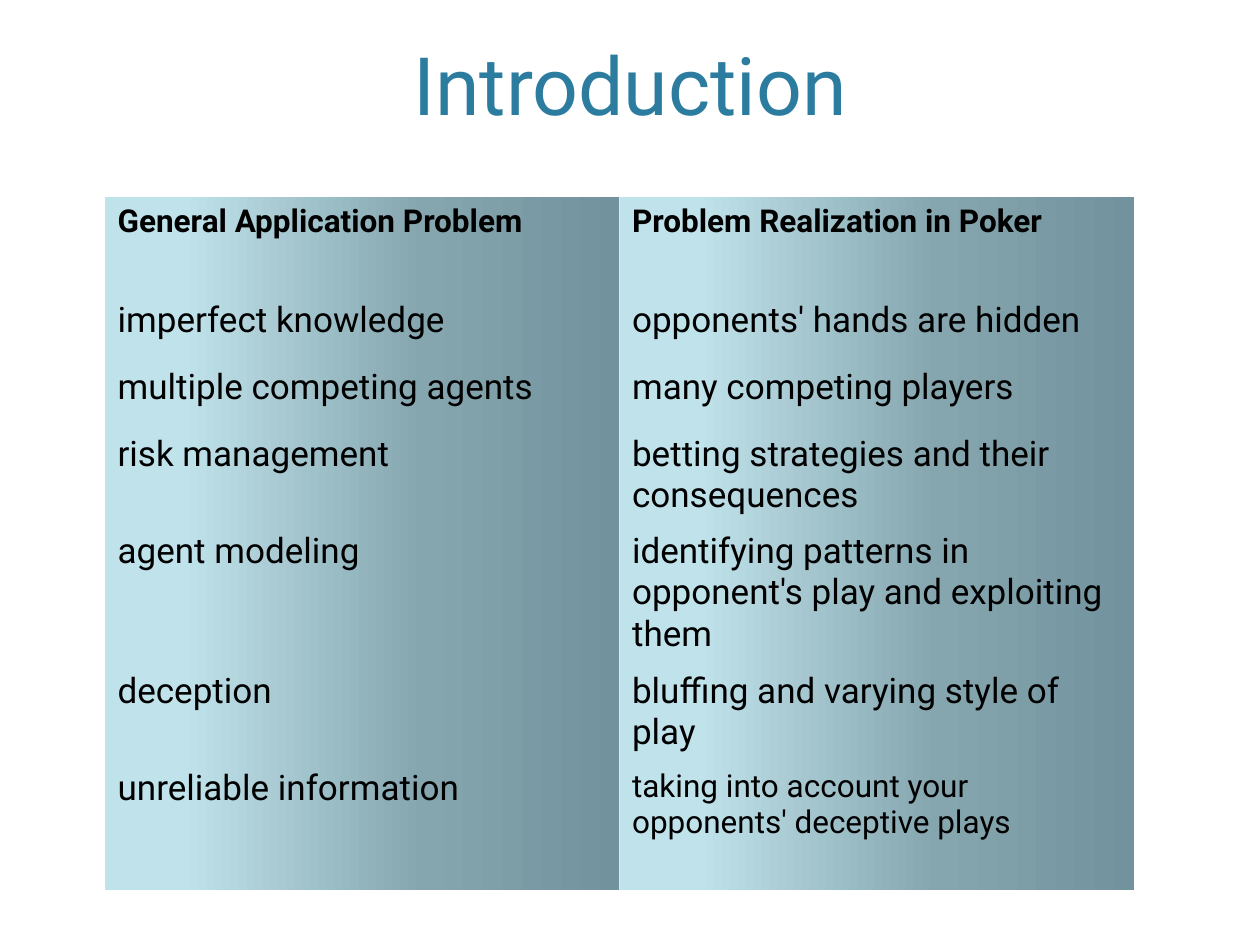
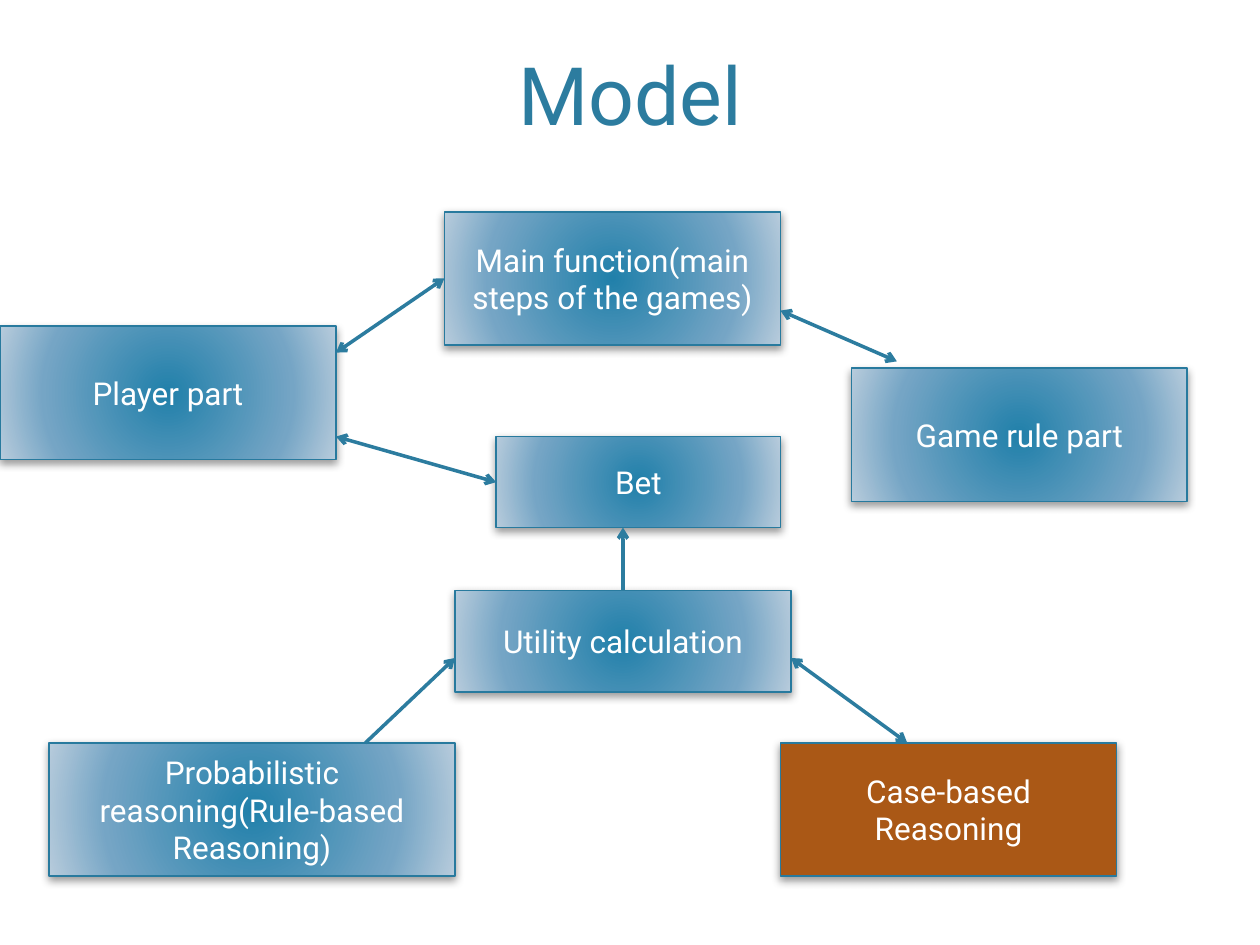
from dataclasses import dataclass

from lxml import etree
from pptx import Presentation
from pptx.enum import shapes, text
from pptx.dml.color import RGBColor
from pptx.oxml import ns
from pptx.util import Pt

FONT = "Roboto"
HUES = {
    "title": "2C7C9F",
    "edge": "287A9E",
    "ink": "000000",
    "white": "FFFFFF",
    "rust": "AA5816",
}
TEAL = ((15, "C0E2EB"), (62, "85A6AF"), (100, "72939D"))
BLUE = ((0, "2180AA"), (69, "75A5C5"), (100, "B8CCDC"))
LINEAR = '<a:lin ang="0" scaled="0"/>'
RADIAL = ('<a:path path="circle">'
          '<a:fillToRect l="100000" t="100000" r="100000" b="100000"/></a:path>')
SHADOW = ('<a:outerShdw blurRad="63500" dist="25400" dir="5400000" rotWithShape="0">'
          '<a:srgbClr val="000000"><a:alpha val="40000"/></a:srgbClr></a:outerShdw>')


@dataclass
class Box:
    """A labelled node of the model; sizes in points."""
    label: str
    left: float
    top: float
    width: float = 192
    height: float = 76.2
    solid: bool = False


@dataclass
class Link:
    """An arrow between two points, open-headed at its end."""
    start: tuple[float, float]
    end: tuple[float, float]
    both: bool = True


def hue(name: str) -> RGBColor:
    """Look up a named colour."""
    return RGBColor.from_string(HUES[name])


def node(tag: str, inner: str = "", attrs: str = ""):
    """Make one DrawingML element."""
    return etree.fromstring(
        f'<a:{tag} xmlns:a="{ns.nsuri("a")}" {attrs}>{inner}</a:{tag}>')


def blend(fill, props, stops, kind: str) -> None:
    """Give a shape or cell a gradient fill."""
    fill.background()
    marks = "".join(f'<a:gs pos="{pos * 1000}"><a:srgbClr val="{tone}"/></a:gs>'
                    for pos, tone in stops)
    grad = node("gradFill", f"<a:gsLst>{marks}</a:gsLst>{kind}", 'rotWithShape="1"')
    props.replace(props.find(ns.qn("a:noFill")), grad)


def write(frame, words: str, size: float, tone: str, bold: bool = False,
          align=text.PP_ALIGN.CENTER) -> None:
    """Put formatted text in a frame."""
    frame.text = words
    para = frame.paragraphs[0]
    para.alignment = align
    for run in para.runs:
        run.font.name = FONT
        run.font.size = Pt(size)
        run.font.bold = bold
        run.font.color.rgb = hue(tone)


def page(deck, words: str, top: float, height: float):
    """Add a blank slide with a title."""
    slide = deck.slides.add_slide(deck.slide_layouts[6])
    frame = slide.shapes.add_textbox(Pt(43.2), Pt(top), Pt(633.6), Pt(height)).text_frame
    frame.word_wrap = True
    frame.vertical_anchor = text.MSO_ANCHOR.BOTTOM
    write(frame, words, 46, "title")
    return slide


def draw_grid(slide, rows, tall) -> None:
    """Draw the table of problems, without borders."""
    grid = slide.shapes.add_table(len(rows), 2, Pt(60), Pt(112.5),
                                  Pt(588), Pt(sum(tall))).table
    grid.first_row = grid.horz_banding = False
    for row, high in zip(grid.rows, tall):
        row.height = Pt(high)
    for y, row in enumerate(rows):
        for x, words in enumerate(row):
            cell = grid.cell(y, x)
            head = y == 0
            small = head or (y == len(rows) - 1 and x == 1)
            write(cell.text_frame, words, 18 if small else 20, "ink", head,
                  text.PP_ALIGN.LEFT)
            props = cell._tc.get_or_add_tcPr()
            blend(cell.fill, props, TEAL, LINEAR)
            for i, side in enumerate("LRTB"):
                props.insert(i, node(f"ln{side}", "<a:noFill/>", 'w="0"'))


def draw_box(slide, box: Box) -> None:
    """Draw one shadowed node."""
    shape = slide.shapes.add_shape(shapes.MSO_SHAPE.RECTANGLE, Pt(box.left),
                                   Pt(box.top), Pt(box.width), Pt(box.height))
    props = shape.element.spPr
    if box.solid:
        shape.fill.solid()
        shape.fill.fore_color.rgb = hue("rust")
    else:
        blend(shape.fill, props, BLUE, RADIAL)
    shape.line.color.rgb = hue("edge")
    shape.line.width = Pt(1)
    props.append(node("effectLst", SHADOW))
    shape.text_frame.word_wrap = True
    shape.text_frame.vertical_anchor = text.MSO_ANCHOR.MIDDLE
    write(shape.text_frame, box.label, 18, "white")


def draw_link(slide, link: Link) -> None:
    """Draw one arrow."""
    line = slide.shapes.add_connector(shapes.MSO_CONNECTOR.STRAIGHT,
                                      *map(Pt, link.start + link.end))
    line.line.color.rgb = hue("title")
    line.line.width = Pt(2)
    ends = ("headEnd", "tailEnd") if link.both else ("tailEnd",)
    for end in ends:
        line.line._get_or_add_ln().append(node(end, attrs='type="arrow"'))
    line.element.spPr.append(node("effectLst"))


ROWS = (
    ("General Application Problem", "Problem Realization in Poker"),
    ("imperfect knowledge", "opponents' hands are hidden"),
    ("multiple competing agents", "many competing players"),
    ("risk management", "betting strategies and their consequences"),
    ("agent modeling", "identifying patterns in opponent's play and exploiting them"),
    ("deception", "bluffing and varying style of play"),
    ("unreliable information", "taking into account your opponents' deceptive plays"),
)
TALL = (55.5, 38.25, 38.25, 55.5, 80, 54.5, 73.5)

BOXES = (
    Box("Main function(main steps of the games)", 254, 121),
    Box("Player part", 0, 186.5),
    Box("Game rule part", 486.5, 210.5),
    Box("Utility calculation", 260, 337.5, height=58),
    Box("Case-based Reasoning", 446, 424.5, solid=True),
    Box("Probabilistic reasoning(Rule-based Reasoning)", 28, 424.5, width=232),
    Box("Bet", 283.5, 249.5, 162.5, 52),
)
LINKS = (
    Link((208.8, 424.5), (260, 376), both=False),
    Link((518.4, 424.5), (452, 376)),
    Link((192, 249.5), (283.5, 275.5)),
    Link((356, 337.5), (356, 301.5), both=False),
    Link((192, 201.5), (254, 159)),
    Link((446, 177.5), (512.5, 206.5)),
)


def main() -> None:
    """Build and save the deck."""
    deck = Presentation()
    deck.slide_width, deck.slide_height = Pt(720), Pt(540)
    draw_grid(page(deck, "Introduction", 7.2, 71.3), ROWS, TALL)
    model = page(deck, "Model", 24.5, 59.8)
    for box in BOXES:
        draw_box(model, box)
    for link in LINKS:
        draw_link(model, link)
    deck.save("out.pptx")


main()
